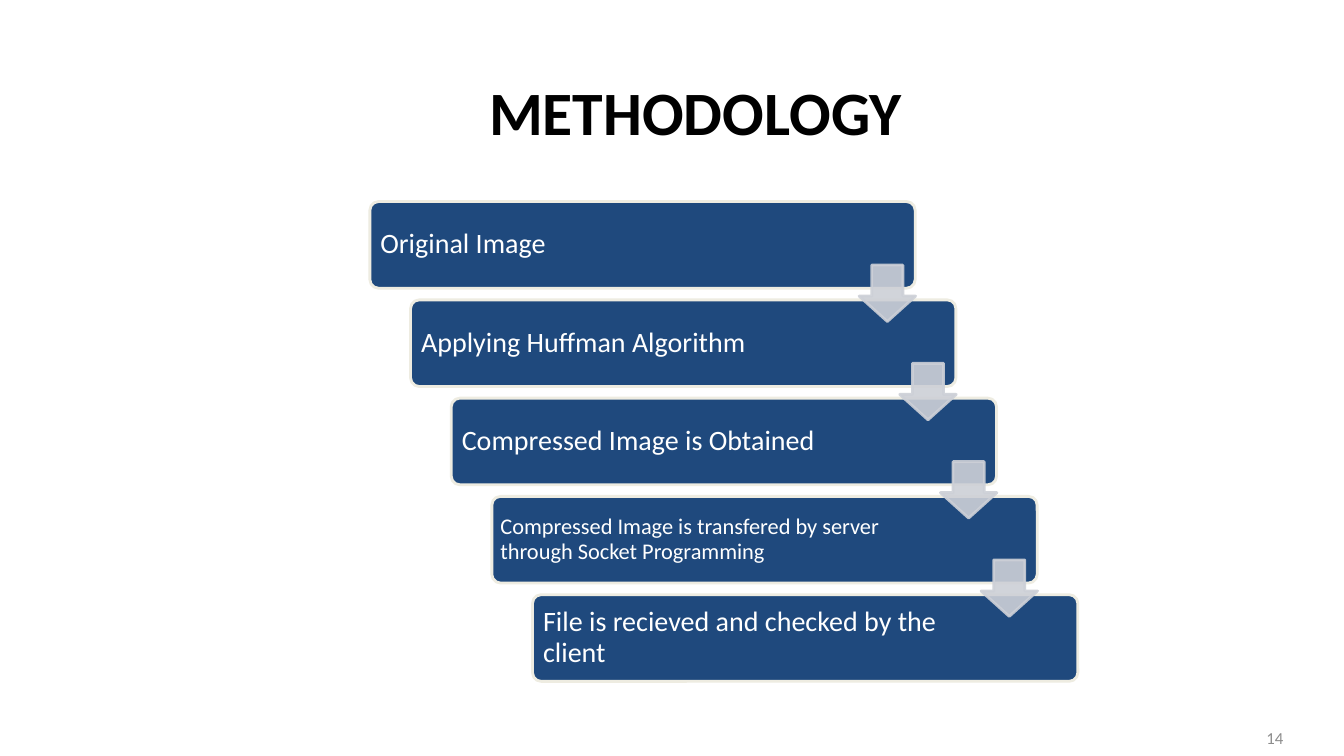
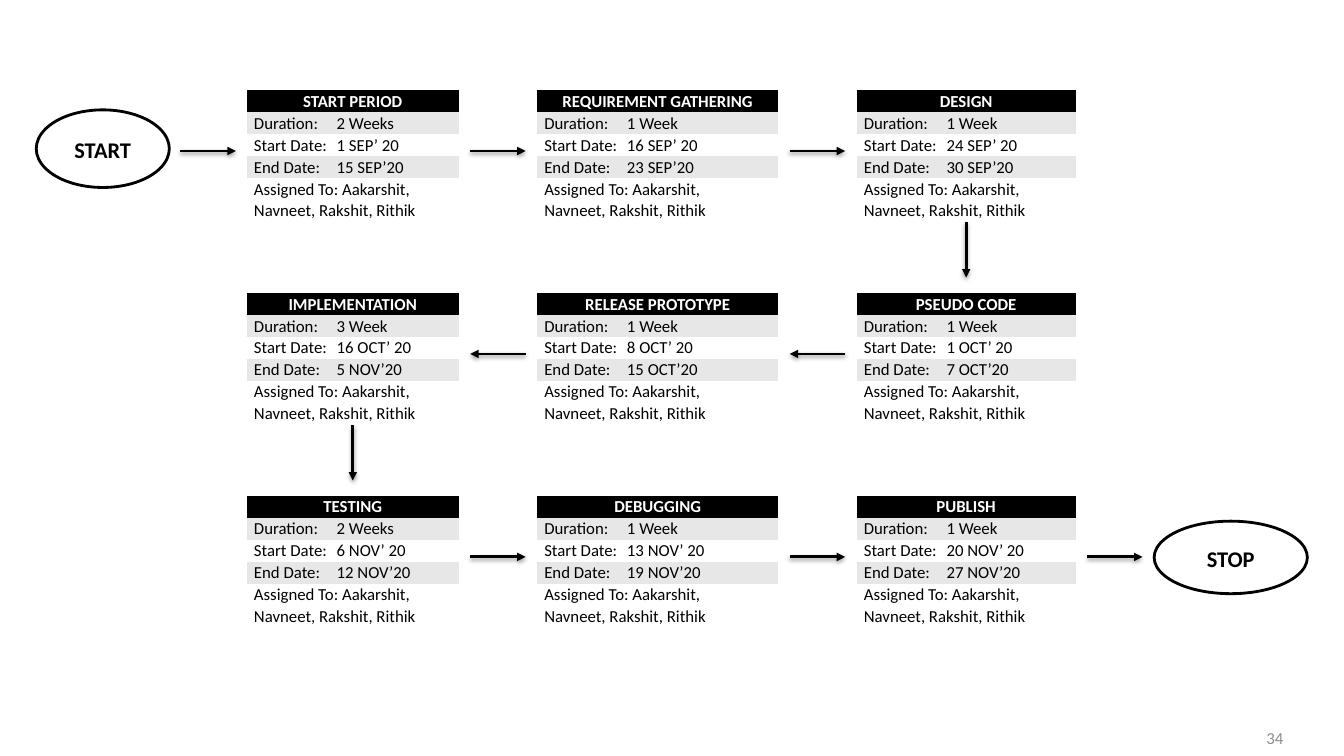
from lxml.etree import SubElement
from pptx import Presentation
from pptx.dml.color import RGBColor
from pptx.enum.shapes import MSO_CONNECTOR, MSO_SHAPE
from pptx.enum.text import MSO_ANCHOR, PP_ALIGN
from pptx.oxml import parse_xml
from pptx.oxml.ns import nsdecls, qn
from pptx.util import Inches, Pt

WIDTH, HEIGHT = 13.33, 7.5
COLS, ROWS = 80, 45
NO_TABLE_STYLE = "{2D5ABB26-0587-4C30-8999-92F81FD0307C}"
TEAM = "Assigned To: Aakarshit,\vNavneet, Rakshit, Rithik"


def rgb(color):
    return RGBColor.from_string(color)


def col(n):
    return Inches(WIDTH * n / COLS)


def row(n):
    return Inches(HEIGHT * n / ROWS)


def box(x, y, w, h):
    return col(x), row(y), col(w), row(h)


def write(tf, text, size=12, color="000000", bold=False, align=PP_ALIGN.LEFT,
          anchor=MSO_ANCHOR.MIDDLE, spacing=None, after=None, tab=None,
          margins=None):
    tf.word_wrap = True
    tf.vertical_anchor = anchor
    if margins:
        (tf.margin_left, tf.margin_top,
         tf.margin_right, tf.margin_bottom) = map(Inches, margins)
    p = tf.paragraphs[0]
    p.alignment = align
    if spacing:
        p.line_spacing = spacing
    if after:
        p.space_after = Pt(after)
    if tab:
        tabs = SubElement(p._p.get_or_add_pPr(), qn("a:tabLst"))
        SubElement(tabs, qn("a:tab"), pos=str(Inches(tab)), algn="l")
    for i, line in enumerate(text.split("\v")):
        if i:
            p.add_line_break()
        r = p.add_run()
        r.text = line
        font = r.font
        font.name, font.size, font.bold = "Calibri", Pt(size), bold
        font.color.rgb = rgb(color)


class Deck:
    black, white, band = "000000", "FFFFFF", "E7E7E7"
    navy, cream, silver, grey = "1F497D", "EEECE1", "CDD0D7", "8C8C8C"
    line_width = Pt(2)

    def __init__(self):
        self.prs = Presentation()
        self.prs.slide_width, self.prs.slide_height = Inches(WIDTH), Inches(HEIGHT)
        self.s = None

    def slide(self, number, title=None):
        layout = self.prs.slide_layouts[5 if title else 6]
        self.s = self.prs.slides.add_slide(layout)
        if title:
            sp = self.s.shapes.title
            sp.left, sp.top, sp.width, sp.height = box(5.4, 2.82, 72, 7.5)
            write(sp.text_frame, title, size=44, bold=True, align=PP_ALIGN.CENTER)
        sp = self.s.shapes.add_textbox(*box(58.32, 42.72, 18.66, 2.4))
        write(sp.text_frame, str(number), color=self.grey, align=PP_ALIGN.RIGHT)

    def shape(self, kind, x, y, w, h, fill, line, adjust=(), alpha=None):
        sp = self.s.shapes.add_shape(kind, *box(x, y, w, h))
        sp.shadow.inherit = False
        for i, value in enumerate(adjust):
            sp.adjustments[i] = value
        sp.fill.solid()
        sp.fill.fore_color.rgb = rgb(fill)
        sp.line.color.rgb = rgb(line)
        sp.line.width = self.line_width
        if alpha:
            for clr in sp.element.spPr.iter(qn("a:srgbClr")):
                SubElement(clr, qn("a:alpha"), val=str(alpha * 1000))
        return sp

    def step(self, x, y, text, size):
        sp = self.shape(MSO_SHAPE.ROUNDED_RECTANGLE, x, y, 32.46, 5.16,
                        self.navy, self.cream, adjust=[0.1])
        write(sp.text_frame, text, size=size, color=self.white, spacing=0.9,
              margins=(0.08 if size > 16 else 0.06, 0.05, 1, 0.05))

    def step_arrow(self, x, y):
        self.shape(MSO_SHAPE.DOWN_ARROW, x, y, 3.36, 3.36, self.silver,
                   self.silver, adjust=[0.55, 0.45], alpha=90)

    def terminal(self, x, y, w, h, text):
        sp = self.shape(MSO_SHAPE.OVAL, x, y, w, h, self.white, self.black)
        write(sp.text_frame, text, size=16, bold=True, align=PP_ALIGN.CENTER,
              spacing=1.07, after=8)

    def card(self, x, y, w, lines):
        line_h = 1.31
        heights = [line_h * (1 + line.count("\v")) for line in lines]
        gf = self.s.shapes.add_table(len(lines), 1, *box(x, y, w, sum(heights)))
        for style in gf.element.iter(qn("a:tableStyleId")):
            style.text = NO_TABLE_STYLE
        gf.table.columns[0].width = col(w)
        for i, (line, h) in enumerate(zip(lines, heights)):
            gf.table.rows[i].height = row(h)
            cell = gf.table.cell(i, 0)
            cell.margin_left = cell.margin_right = Inches(0.07)
            cell.margin_top = cell.margin_bottom = 0
            cell.fill.solid()
            head = i == 0
            fill = self.black if head else self.band if i % 2 else self.white
            cell.fill.fore_color.rgb = rgb(fill)
            write(cell.text_frame, line, bold=head, spacing=1.07, tab=0.82,
                  color=self.white if head else self.black,
                  align=PP_ALIGN.CENTER if head else PP_ALIGN.LEFT,
                  anchor=MSO_ANCHOR.TOP)

    def arrow(self, x1, y1, x2, y2):
        c = self.s.shapes.add_connector(MSO_CONNECTOR.STRAIGHT, col(x1), row(y1),
                                        col(x2), row(y2))
        c.line.color.rgb = rgb(self.black)
        c.line.width = self.line_width
        SubElement(c.line._get_or_add_ln(), qn("a:tailEnd"), type="triangle")
        c.element.spPr.append(parse_xml(
            f'<a:effectLst {nsdecls("a")}><a:outerShdw blurRad="40000" '
            'dist="20000" dir="5400000" rotWithShape="0"><a:srgbClr val="000000">'
            '<a:alpha val="38000"/></a:srgbClr></a:outerShdw></a:effectLst>'))


def methodology(deck):
    deck.slide(14, "METHODOLOGY")
    steps = [
        ("Original Image", 20),
        ("Applying Huffman Algorithm", 20),
        ("Compressed Image is Obtained", 20),
        ("Compressed Image is transfered by server through Socket Programming", 16),
        ("File is recieved and checked by the client", 20),
    ]
    spots = [(22.02 + 2.42 * i, 12 + 5.85 * i) for i in range(len(steps))]
    for (x, y), (text, size) in zip(spots, steps):
        deck.step(x, y, text, size)
    for x, y in spots[:-1]:
        deck.step_arrow(x + 29.12, y + 3.78)


def schedule(deck):
    deck.slide(34)
    columns = [(14.7, 12.6), (31.98, 14.34), (51, 13.02)]
    tops = [5.34 + 12.08 * i for i in range(3)]
    phases = [
        [("START PERIOD", "2 Weeks", "1 SEP’ 20", "15 SEP’20"),
         ("REQUIREMENT GATHERING", "1 Week", "16 SEP’ 20", "23 SEP’20"),
         ("DESIGN", "1 Week", "24 SEP’ 20", "30 SEP’20")],
        [("IMPLEMENTATION", "3 Week", "16 OCT’ 20", "5 NOV’20"),
         ("RELEASE PROTOTYPE", "1 Week", "8 OCT’ 20", "15 OCT’20"),
         ("PSEUDO CODE", "1 Week", "1 OCT’ 20", "7 OCT’20")],
        [("TESTING", "2 Weeks", "6 NOV’ 20", "12 NOV’20"),
         ("DEBUGGING", "1 Week", "13 NOV’ 20", "19 NOV’20"),
         ("PUBLISH", "1 Week", "20 NOV’ 20", "27 NOV’20")],
    ]
    for y, line in zip(tops, phases):
        for (x, w), (name, duration, start, end) in zip(columns, line):
            deck.card(x, y, w, [name, f"Duration:\t{duration}",
                                f"Start Date:\t{start}", f"End Date:\t{end}", TEAM])

    start, stop = (2.16, 6.54, 7.92, 4.62), (68.7, 31.02, 9.12, 4.32)
    deck.terminal(*start, "START")
    deck.terminal(*stop, "STOP")

    length = 3.3
    edges = [(start[0], start[2]), *columns, (stop[0], stop[2])]
    middles = [(x + w + after) / 2
               for (x, w), (after, _) in zip(edges, edges[1:])]
    for y, gaps, way in zip(tops, (middles[:3], middles[1:3], middles[1:]),
                            (1, -1, 1)):
        for x in gaps:
            half = way * length / 2
            deck.arrow(x - half, y + 3.65, x + half, y + 3.65)
    for (x, w), top in ((columns[2], tops[1]), (columns[0], tops[2])):
        end = top - 0.9
        deck.arrow(x + w / 2, end - length, x + w / 2, end)


def main():
    deck = Deck()
    methodology(deck)
    schedule(deck)
    deck.prs.save("out.pptx")


if __name__ == "__main__":
    main()
